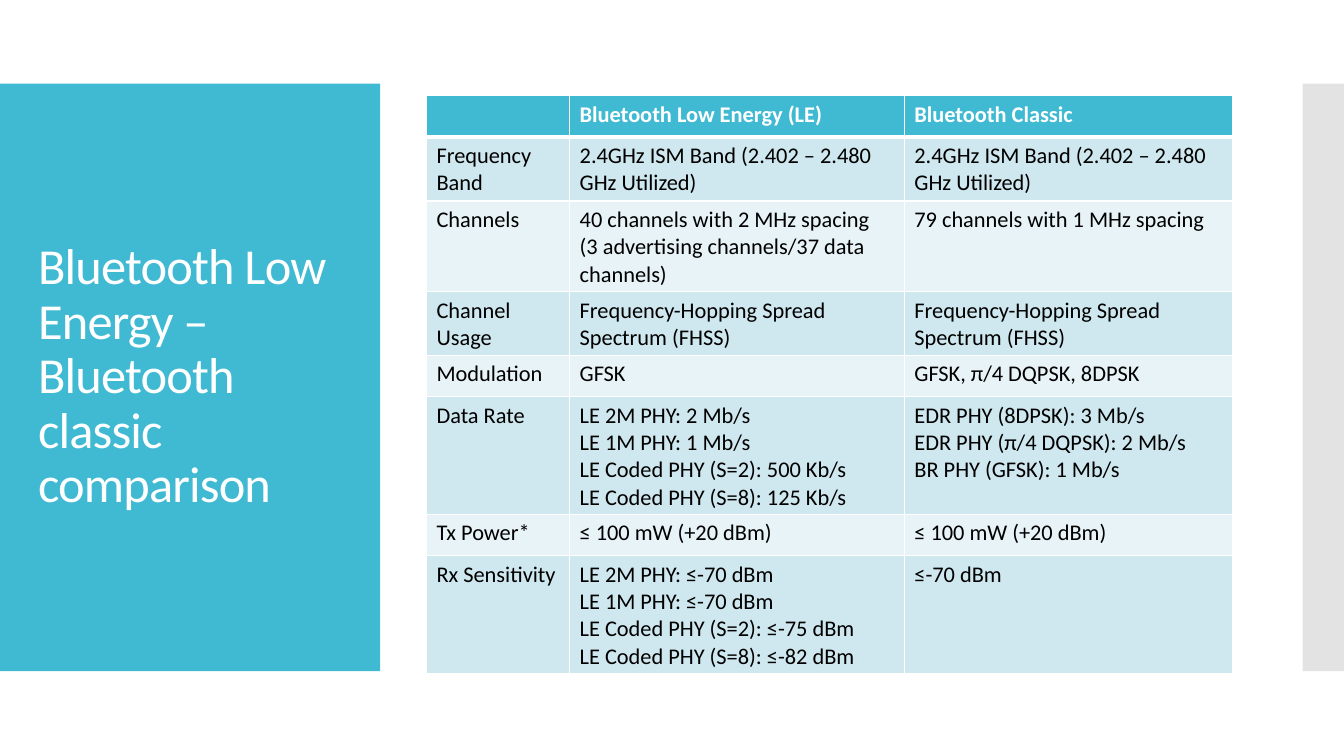
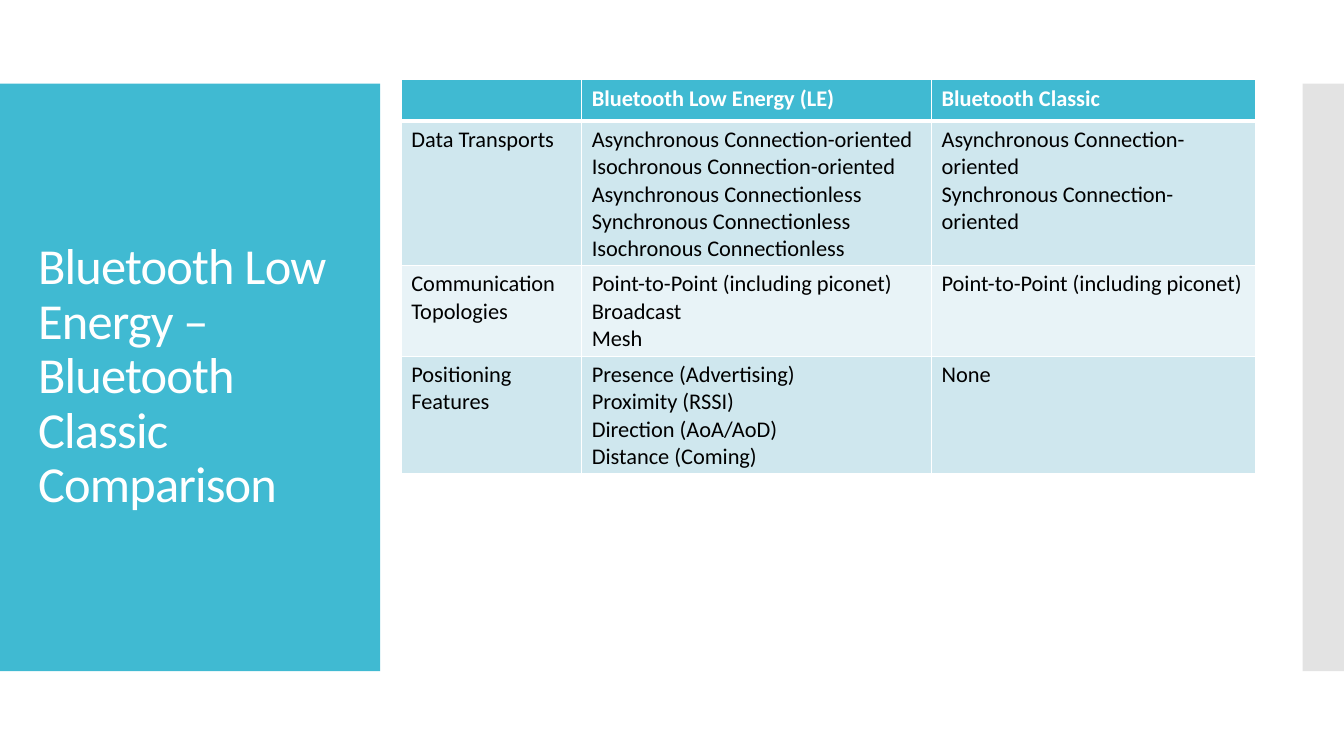
"""Build two slides comparing Bluetooth Low Energy with Bluetooth Classic."""
from dataclasses import dataclass

from lxml import etree
from pptx import Presentation
from pptx.dml.color import RGBColor
from pptx.enum.shapes import MSO_SHAPE
from pptx.enum.text import MSO_ANCHOR
from pptx.oxml.ns import qn
from pptx.util import Inches, Pt

RECTANGLE = MSO_SHAPE.RECTANGLE
MIDDLE = MSO_ANCHOR.MIDDLE


@dataclass(frozen=True)
class Theme:
    """Colours, font and sizes that the slides share."""

    accent: str = "40BAD2"
    edge: str = "C8C8C8"
    edge_opacity: int = 50
    odd_row: str = "CFE7EE"
    even_row: str = "E8F3F7"
    white: str = "FFFFFF"
    black: str = "000000"
    font: str = "Calibri"
    title_size: int = 36
    title_tracking: float = -0.6
    table_size: int = 16
    thin_rule: int = 1
    thick_rule: int = 3


THEME = Theme()
BLANK_LAYOUT = 6
BAND_TOP, BAND_HEIGHT = 0.83, 5.83
ROW_HEIGHT = 0.41
HEADER = ("", "Bluetooth Low Energy (LE)", "Bluetooth Classic")

RADIO_ROWS = (
    ("Frequency Band",
     "2.4GHz ISM Band (2.402 – 2.480 GHz Utilized)",
     "2.4GHz ISM Band (2.402 – 2.480 GHz Utilized)"),
    ("Channels",
     "40 channels with 2 MHz spacing\n(3 advertising channels/37 data channels)",
     "79 channels with 1 MHz spacing"),
    ("Channel Usage",
     "Frequency-Hopping Spread Spectrum (FHSS)",
     "Frequency-Hopping Spread Spectrum (FHSS)"),
    ("Modulation", "GFSK", "GFSK, π/4 DQPSK, 8DPSK"),
    ("Data Rate",
     "LE 2M PHY: 2 Mb/s\nLE 1M PHY: 1 Mb/s\n"
     "LE Coded PHY (S=2): 500 Kb/s\nLE Coded PHY (S=8): 125 Kb/s",
     "EDR PHY (8DPSK): 3 Mb/s\nEDR PHY (π/4 DQPSK): 2 Mb/s\nBR PHY (GFSK): 1 Mb/s"),
    ("Tx Power*", "≤ 100 mW (+20 dBm)", "≤ 100 mW (+20 dBm)"),
    ("Rx Sensitivity",
     "LE 2M PHY: ≤-70 dBm\nLE 1M PHY: ≤-70 dBm\n"
     "LE Coded PHY (S=2): ≤-75 dBm\nLE Coded PHY (S=8): ≤-82 dBm",
     "≤-70 dBm"),
)

FEATURE_ROWS = (
    ("Data Transports",
     "Asynchronous Connection-oriented\nIsochronous Connection-oriented\n"
     "Asynchronous Connectionless\nSynchronous Connectionless\n"
     "Isochronous Connectionless",
     "Asynchronous Connection-oriented\nSynchronous Connection-oriented"),
    ("Communication Topologies",
     "Point-to-Point (including piconet)\nBroadcast\nMesh",
     "Point-to-Point (including piconet)"),
    ("Positioning Features",
     "Presence (Advertising)\nProximity (RSSI)\n"
     "Direction (AoA/AoD)\nDistance (Coming)",
     "None"),
)


def style_font(font, size, color, bold=False):
    """Apply the shared typeface with a size, colour and weight."""
    font.name = THEME.font
    font.size = Pt(size)
    font.bold = bold
    font.color.rgb = RGBColor.from_string(color)


def add_band(page, left, width, color, opacity=100):
    """Add a side band without outline or shadow."""
    band = page.shapes.add_shape(
        RECTANGLE, Inches(left), Inches(BAND_TOP), Inches(width), Inches(BAND_HEIGHT))
    band.shadow.inherit = False
    band.line.fill.background()
    band.fill.solid()
    band.fill.fore_color.rgb = RGBColor.from_string(color)
    if opacity < 100:
        tint = band._element.spPr.find(f"{qn('a:solidFill')}/{qn('a:srgbClr')}")
        etree.SubElement(tint, qn("a:alpha"), val=str(opacity * 1000))


def add_title(page, text):
    """Add the white title on the accent band."""
    box = page.shapes.add_textbox(
        Inches(0.28), Inches(1.23), Inches(3.22), Inches(5.03))
    frame = box.text_frame
    frame.word_wrap = True
    frame.vertical_anchor = MIDDLE
    para = frame.paragraphs[0]
    para.line_spacing = 0.9
    style_font(para.font, THEME.title_size, THEME.white)
    span = para.add_run()
    span.text = text
    span._r.get_or_add_rPr().set("spc", str(round(THEME.title_tracking * 100)))


def add_borders(cell, top, bottom):
    """Draw white rules around a cell."""
    properties = cell._tc.get_or_add_tcPr()
    widths = {"lnL": THEME.thin_rule, "lnR": THEME.thin_rule, "lnT": top, "lnB": bottom}
    for side, width in widths.items():
        rule = etree.SubElement(properties, qn(f"a:{side}"), w=str(Pt(width)))
        fill = etree.SubElement(rule, qn("a:solidFill"))
        etree.SubElement(fill, qn("a:srgbClr"), val=THEME.white)


def fill_cell(cell, text, row_index):
    """Write and style one cell according to its row."""
    is_header = row_index == 0
    if is_header:
        color = THEME.accent
    else:
        color = THEME.odd_row if row_index % 2 else THEME.even_row
    add_borders(
        cell,
        top=THEME.thick_rule if row_index == 1 else THEME.thin_rule,
        bottom=THEME.thick_rule if is_header else THEME.thin_rule)
    cell.fill.solid()
    cell.fill.fore_color.rgb = RGBColor.from_string(color)
    cell.text = text
    for para in cell.text_frame.paragraphs:
        style_font(para.font, THEME.table_size,
                   THEME.white if is_header else THEME.black, is_header)


def add_comparison(page, left, top, widths, body):
    """Add a comparison table under the shared header."""
    rows = (HEADER, *body)
    table = page.shapes.add_table(
        len(rows), len(widths), Inches(left), Inches(top),
        Inches(sum(widths)), Inches(ROW_HEIGHT * len(rows))).table
    for column, width in zip(table.columns, widths):
        column.width = Inches(width)
    for row_index, texts in enumerate(rows):
        table.rows[row_index].height = Inches(ROW_HEIGHT)
        for column_index, text in enumerate(texts):
            fill_cell(table.cell(row_index, column_index), text, row_index)


def add_page(deck, title):
    """Add a slide with both side bands and a title."""
    page = deck.slides.add_slide(deck.slide_layouts[BLANK_LAYOUT])
    add_band(page, 0, 3.77, THEME.accent)
    add_band(page, 12.92, 0.42, THEME.edge, THEME.edge_opacity)
    add_title(page, title)
    return page


def main():
    """Build and save the deck."""
    deck = Presentation()
    deck.slide_width, deck.slide_height = Inches(13.33), Inches(7.5)

    page = add_page(deck, "Bluetooth Low Energy – Bluetooth classic comparison")
    add_comparison(page, 4.23, 0.95, (1.42, 3.32, 3.26), RADIO_ROWS)

    page = add_page(deck, "Bluetooth Low Energy – Bluetooth Classic Comparison")
    add_comparison(page, 3.98, 0.79, (1.79, 3.47, 3.21), FEATURE_ROWS)

    deck.save("out.pptx")


if __name__ == "__main__":
    main()
